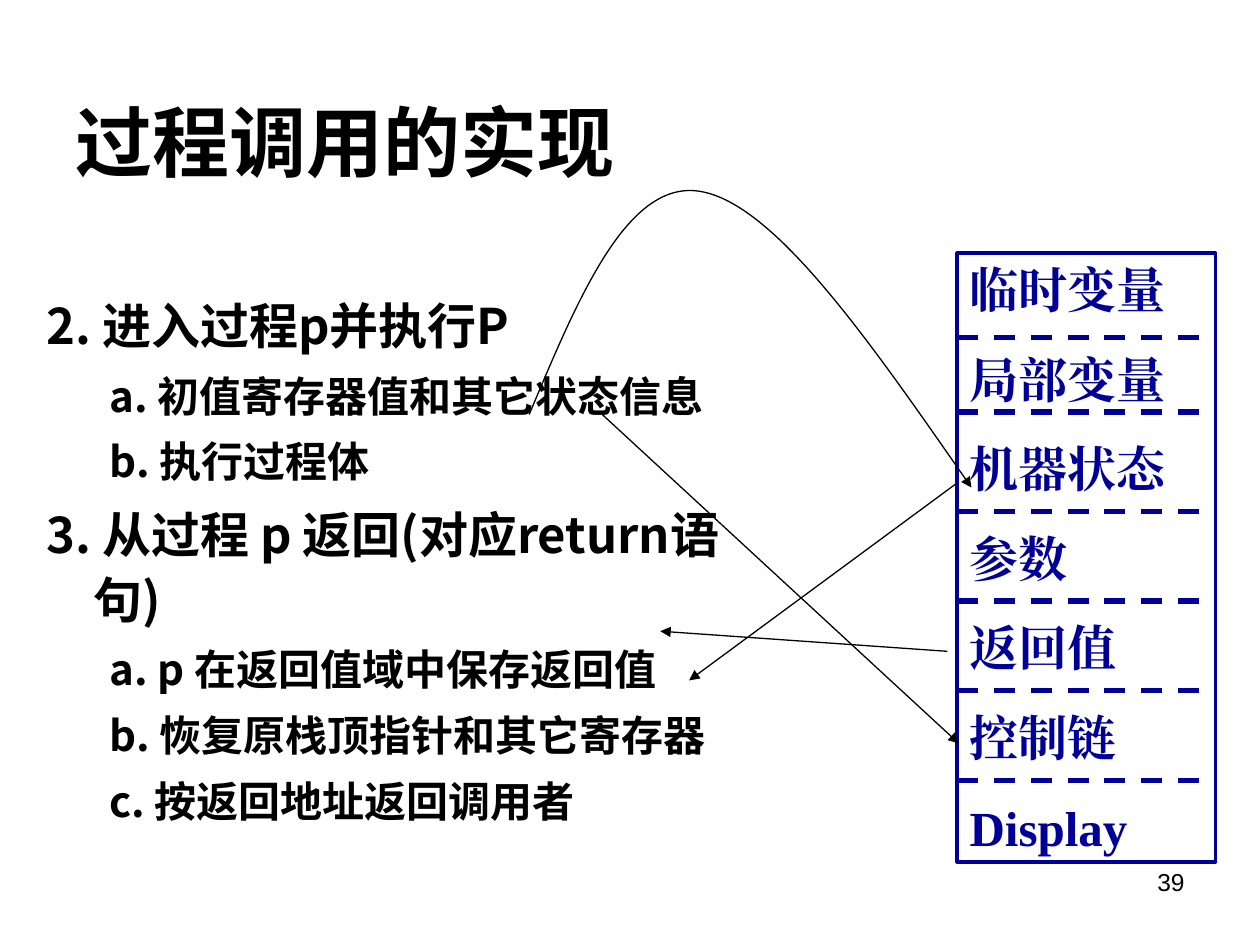
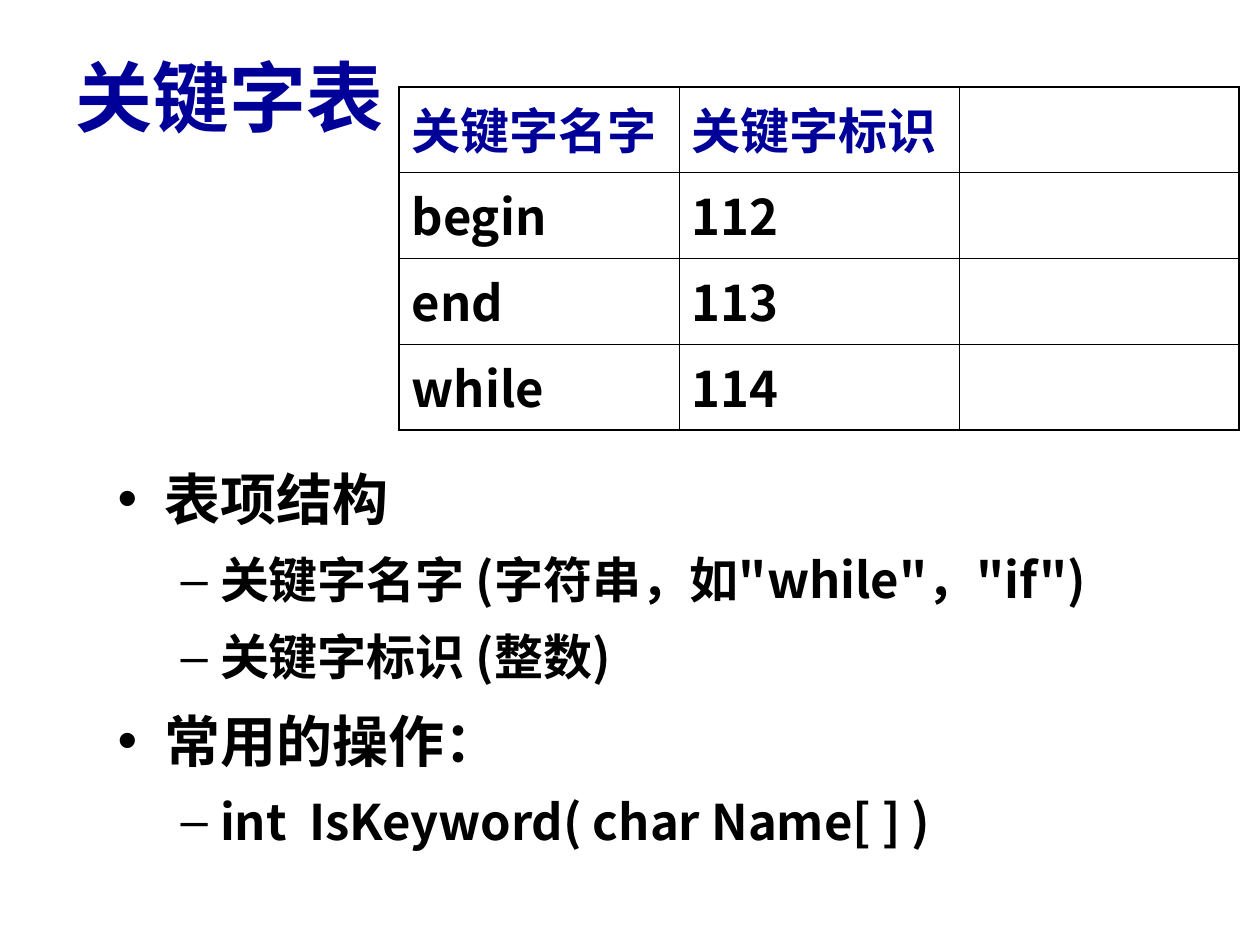
import pptx
import pptx.dml.color
import pptx.enum.dml
import pptx.enum.shapes
import pptx.enum.text
import pptx.oxml
import pptx.oxml.ns
import pptx.util
from pptx.util import Pt

# Shared look
NAVY = pptx.dml.color.RGBColor(0x00, 0x00, 0x99)
BLACK = pptx.dml.color.RGBColor(0x00, 0x00, 0x00)
SANS, CJK, SERIF = "Arial", "Noto Sans CJK JP", "Times New Roman"
TITLE_SIZE = 44
LEVEL_INDENTS = [(27, -27), (58.5, -22.5)]
BULLETS = "•–"
ALIGN = pptx.enum.text.PP_ALIGN
ANCHOR = pptx.enum.text.MSO_ANCHOR

# Procedure call content
CALL_STEPS = [
    (0, "2. 进入过程p并执行P"),
    (1, "a. 初值寄存器值和其它状态信息"),
    (1, "b. 执行过程体"),
    (0, "3. 从过程 p 返回(对应return语句)"),
    (1, "a. p 在返回值域中保存返回值"),
    (1, "b. 恢复原栈顶指针和其它寄存器"),
    (1, "c. 按返回地址返回调用者"),
]
FRAME_FIELDS = ["临时变量", "局部变量", "机器状态", "参数", "返回值", "控制链", "Display"]
FIELD_PITCH = 51.2
FIELD_LINE = 33.7

# Keyword table content
KEYWORD_ROWS = [
    ("关键字名字", "关键字标识", ""),
    ("begin", "112", ""),
    ("end", "113", ""),
    ("while", "114", ""),
]
KEYWORD_NOTES = [
    (0, "表项结构"),
    (1, '关键字名字 (字符串，如"while"，"if")'),
    (1, "关键字标识 (整数)"),
    (0, "常用的操作："),
    (1, "int  IsKeyword( char Name[ ] )"),
]


def add_xml(parent, tag, **attributes):
    element = pptx.oxml.parse_xml(f"<a:{tag} {pptx.oxml.ns.nsdecls('a')}/>")
    for key, value in attributes.items():
        element.set(key, str(value))
    parent.append(element)
    return element


def add_color(parent, color):
    add_xml(parent, "srgbClr", val=color)


def style_runs(paragraph, size, font, color, bold=True):
    for run in paragraph.runs:
        run.font.size = Pt(size)
        run.font.name = font
        run.font.bold = bold
        run.font.color.rgb = color
        add_xml(run.font._element, "ea", typeface=font)


def place(shape, left, top, width, height):
    shape.left, shape.top = Pt(left), Pt(top)
    shape.width, shape.height = Pt(width), Pt(height)


def set_title(slide, text, box, font, color, align, anchor):
    title = slide.shapes.title
    place(title, *box)
    frame = title.text_frame
    frame.text = text
    frame.auto_size = pptx.enum.text.MSO_AUTO_SIZE.NONE
    frame.vertical_anchor = anchor
    frame.paragraphs[0].alignment = align
    style_runs(frame.paragraphs[0], TITLE_SIZE, font, color)


def set_list(slide, items, box, sizes, bulleted):
    body = slide.placeholders[1]
    place(body, *box)
    frame = body.text_frame
    frame.text = "\n".join(text for _, text in items)
    frame.auto_size = pptx.enum.text.MSO_AUTO_SIZE.NONE
    frame.vertical_anchor = ANCHOR.TOP
    for index, (paragraph, (level, _)) in enumerate(zip(frame.paragraphs, items)):
        paragraph.level = level
        properties = paragraph._p.get_or_add_pPr()
        margin, indent = LEVEL_INDENTS[level]
        properties.set("marL", str(Pt(margin)))
        properties.set("indent", str(Pt(indent)))
        if bulleted:
            add_color(add_xml(properties, "buClr"), BLACK)
            add_xml(properties, "buFont", typeface=SANS)
            add_xml(properties, "buChar", char=BULLETS[level])
        else:
            add_xml(properties, "buNone")
        paragraph.line_spacing = 1.1
        paragraph.space_before = Pt(sizes[level] / 4 if index else 0)
        style_runs(paragraph, sizes[level], CJK, BLACK)


def add_line(slide, start, end, color, width, dashed=False, arrow=False):
    line = slide.shapes.add_connector(
        pptx.enum.shapes.MSO_CONNECTOR.STRAIGHT, *map(Pt, start + end))
    line.line.color.rgb = color
    line.line.width = Pt(width)
    if dashed:
        line.line.dash_style = pptx.enum.dml.MSO_LINE.DASH
    if arrow:
        add_xml(line.line._get_or_add_ln(), "tailEnd", type="triangle")
    add_xml(line._element.spPr, "effectLst")


def add_curved_arrow(slide, start, controls):
    """Draw a cubic curve; each three points are two handles and an end."""
    builder = slide.shapes.build_freeform(Pt(start[0]), Pt(start[1]))
    builder.add_line_segments([(Pt(x), Pt(y)) for x, y in controls], close=False)
    curve = builder.convert_to_shape()
    outline = curve._element.find(".//" + pptx.oxml.ns.qn("a:path"))
    segments = outline.findall(pptx.oxml.ns.qn("a:lnTo"))
    for first in range(0, len(segments), 3):
        bezier = add_xml(outline, "cubicBezTo")
        for segment in segments[first:first + 3]:
            bezier.append(segment[0])
            outline.remove(segment)
    curve.fill.background()
    curve.line.color.rgb = BLACK
    curve.line.width = Pt(0.75)
    add_xml(curve.line._get_or_add_ln(), "tailEnd", type="triangle")
    curve.shadow.inherit = False


def add_activation_record(slide, left, top, width, height):
    record = slide.shapes.add_shape(
        pptx.enum.shapes.MSO_SHAPE.RECTANGLE, *map(Pt, (left, top, width, height)))
    record.shadow.inherit = False
    record.fill.background()
    record.line.color.rgb = NAVY
    record.line.width = Pt(2.25)
    frame = record.text_frame
    frame.word_wrap = True
    frame.vertical_anchor = ANCHOR.TOP
    frame.text = "\n".join(FRAME_FIELDS)
    for index, field in enumerate(frame.paragraphs):
        field.alignment = ALIGN.LEFT
        field.line_spacing = Pt(FIELD_LINE)
        field.space_before = Pt(FIELD_PITCH - FIELD_LINE if index else 0)
        style_runs(field, 28, SERIF, NAVY)
    # The two upper separators are uneven, the others follow the field pitch
    separators = [193, 235.5] + [292.3 + FIELD_PITCH * step for step in range(4)]
    for y in separators:
        add_line(slide, (left, y), (left + width, y), NAVY, 3, dashed=True)


def add_page_number(slide, number):
    box = slide.shapes.add_textbox(Pt(516), Pt(492), Pt(168), Pt(37.5))
    frame = box.text_frame
    frame.word_wrap = True
    frame.text = number
    frame.paragraphs[0].alignment = ALIGN.RIGHT
    style_runs(frame.paragraphs[0], 14, SANS, BLACK, bold=False)


def set_borders(cell, widths):
    properties = cell._tc.get_or_add_tcPr()
    for side, width in widths.items():
        border = add_xml(properties, "ln" + side, w=Pt(width))
        add_color(add_xml(border, "solidFill"), BLACK)


def add_keyword_table(slide, left, top, column_width, row_height):
    row_count, column_count = len(KEYWORD_ROWS), len(KEYWORD_ROWS[0])
    table = slide.shapes.add_table(
        row_count, column_count, Pt(left), Pt(top),
        Pt(column_width * column_count), Pt(row_height * row_count)).table
    table.first_row = table.horz_banding = False
    for column in table.columns:
        column.width = Pt(column_width)
    for r, texts in enumerate(KEYWORD_ROWS):
        table.rows[r].height = Pt(row_height)
        for c, text in enumerate(texts):
            cell = table.cell(r, c)
            outer = {"L": c == 0, "R": c == column_count - 1,
                     "T": r == 0, "B": r == row_count - 1}
            set_borders(cell, {side: 1.08 if edge else 0.45
                               for side, edge in outer.items()})
            cell.fill.background()
            cell.text_frame.text = text
            style_runs(cell.text_frame.paragraphs[0], 28, CJK, BLACK if r else NAVY)


def build_call_slide(deck):
    slide = deck.slides.add_slide(deck.slide_layouts[1])
    add_page_number(slide, "39")
    add_activation_record(slide, 547, 144.7, 147.6, 347.8)
    set_title(slide, "过程调用的实现", (36, 39.6, 437, 70.6),
              SANS, BLACK, ALIGN.JUSTIFY, ANCHOR.BOTTOM)
    set_list(slide, CALL_STEPS, (19.4, 162, 425.5, 324), (28, 24), bulleted=False)
    # Arrows between the steps and the record fields
    for start, end in [((541.4, 372.2), (377.3, 360.7)),
                       ((344.2, 236.9), (547.9, 424.8)),
                       ((547.2, 275.8), (393.8, 388.8))]:
        add_line(slide, start, end, BLACK, 0.75, arrow=True)
    add_curved_arrow(slide, (302.4, 236.9), [
        (330.5, 169.9), (358.6, 102.2), (400.3, 109.4),
        (442.8, 116.6), (499, 198), (555.1, 278.6)])


def build_keyword_slide(deck):
    slide = deck.slides.add_slide(deck.slide_layouts[1])
    set_title(slide, "关键字表", (35.5, 27.4, 192, 54),
              CJK, NAVY, ALIGN.CENTER, ANCHOR.MIDDLE)
    set_list(slide, KEYWORD_NOTES, (60, 258, 612, 240), (32, 28), bulleted=True)
    add_keyword_table(slide, 228, 49.7, 160, 49)


def main():
    deck = pptx.Presentation()
    deck.slide_width, deck.slide_height = Pt(720), Pt(540)
    build_call_slide(deck)
    build_keyword_slide(deck)
    deck.save("out.pptx")


if __name__ == "__main__":
    main()
